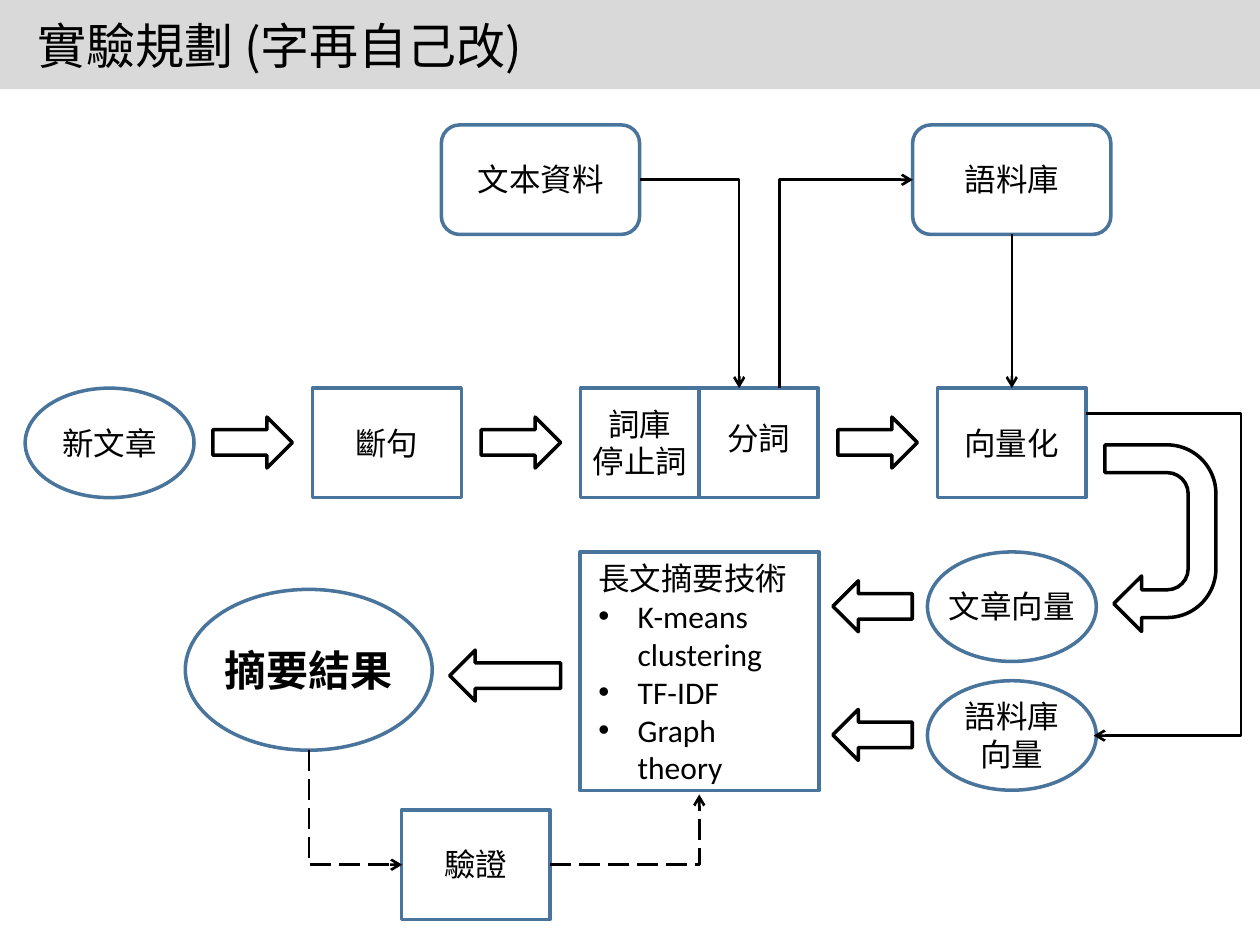
from dataclasses import dataclass

from lxml.etree import SubElement
from pptx import Presentation
from pptx.dml.color import RGBColor
from pptx.enum.dml import MSO_LINE
from pptx.enum.shapes import MSO_CONNECTOR, MSO_SHAPE as Preset
from pptx.enum.text import MSO_ANCHOR, MSO_AUTO_SIZE, PP_ALIGN
from pptx.oxml.ns import qn
from pptx.util import Pt


@dataclass(frozen=True)
class Theme:
    black: RGBColor = RGBColor(0, 0, 0)
    band: RGBColor = RGBColor(0xD9, 0xD9, 0xD9)
    outline: RGBColor = RGBColor(0x49, 0x74, 0x9B)
    cjk: str = "Noto Sans CJK SC"
    latin: str = "Calibri"
    title: int = 28
    result: int = 24
    body: int = 18


theme = Theme()
presentation = Presentation()
presentation.slide_width, presentation.slide_height = Pt(720), Pt(540)
slide = presentation.slides.add_slide(presentation.slide_layouts[6])


def add_outline(preset, box, color, rotation=0):
    shape = slide.shapes.add_shape(preset, *map(Pt, box))
    shape.shadow.inherit = False
    shape.fill.background()
    shape.line.color.rgb = color
    shape.line.width = Pt(2)
    shape.rotation = rotation
    return shape


def add_text(text, box, size=theme.body, font=theme.cjk, align=PP_ALIGN.CENTER, bold=False):
    text_box = slide.shapes.add_textbox(*map(Pt, box))
    frame = text_box.text_frame
    frame.word_wrap = True
    frame.text = text
    for paragraph in frame.paragraphs:
        paragraph.alignment = align
        for run in paragraph.runs:
            run.font.size = Pt(size)
            run.font.bold = bold
            run.font.color.rgb = theme.black
            run.font.name = font
            if font == theme.cjk:
                SubElement(run.font._element, qn("a:ea"), typeface=font)
    return text_box


# Title band
band = add_outline(Preset.RECTANGLE, (0, 0, 720, 51), theme.band)
band.fill.solid()
band.fill.fore_color.rgb = theme.band
band.line.fill.background()
title = add_text("實驗規劃 (字再自己改)", (14.4, 9.4, 648, 33), theme.title, align=PP_ALIGN.LEFT)
title.text_frame.vertical_anchor = MSO_ANCHOR.MIDDLE

# Steps: name, text, preset, box, label width and height (labels sit centred on their shape)
row, high = 221.8, 62.6
steps = [
    ("article", "新文章", Preset.OVAL, (14.4, row, 96.5, high), (73.4, 29.1)),
    ("sentences", "斷句", Preset.RECTANGLE, (178.6, row, 85, high), (54, 29.1)),
    ("words", "分詞", Preset.RECTANGLE, (399.6, row, 68, high), (51.1, 34.6)),
    ("stopwords", "詞庫\n停止詞", Preset.RECTANGLE, (331.6, row, 68, high), (77.8, 50.9)),
    ("texts", "文本資料", Preset.ROUNDED_RECTANGLE, (252.2, 71.4, 113.3, high), (92.2, 29.1)),
    ("corpus", "語料庫", Preset.ROUNDED_RECTANGLE, (521.5, 71.4, 113.3, high), (92.2, 29.1)),
    ("vectorise", "向量化", Preset.RECTANGLE, (535.6, row, 85, high), (69.1, 29.1)),
    ("article vector", "文章向量", Preset.OVAL, (530, 315.4, 96.5, high), (93.6, 29.1)),
    ("corpus vector", "語料庫\n向量", Preset.OVAL, (530, 389, 96.5, high), (93.6, 50.9)),
    ("result", "摘要結果", Preset.OVAL, (105.9, 336.8, 141.1, 91.9), (122.4, 36.4)),
    ("check", "驗證", Preset.RECTANGLE, (229.4, 462.8, 85, high), (54, 29.1)),
]
shapes, labels = {}, {}
for name, text, preset, box, (label_width, label_height) in steps:
    left, top, width, height = box
    label_box = (left + (width - label_width) / 2, top + (height - label_height) / 2,
                 label_width, label_height)
    is_result = name == "result"
    labels[name] = add_text(text, label_box, theme.result if is_result else theme.body,
                            bold=is_result)
    shapes[name] = add_outline(preset, box, theme.outline)

# Summarising techniques
add_outline(Preset.RECTANGLE, (331.6, 315.4, 136.4, 136.4), theme.outline)
techniques = add_text("長文摘要技術\nK-means clustering\nTF-IDF\nGraph theory",
                      (334.8, 316.1, 130.3, 138.2), font=theme.latin, align=PP_ALIGN.LEFT)
techniques.text_frame.auto_size = MSO_AUTO_SIZE.SHAPE_TO_FIT_TEXT
for paragraph in techniques.text_frame.paragraphs[1:]:
    properties = paragraph._p.get_or_add_pPr()
    properties.set("marL", str(Pt(22.5)))
    properties.set("indent", str(-Pt(22.5)))
    SubElement(properties, qn("a:buFont"), typeface="Arial")
    SubElement(properties, qn("a:buChar"), char="•")

# Block arrows: left, top, width, rotation
for left, top, width, rotation in [
    (121.7, 238.3, 45.4, 0), (275, 238.3, 45.4, 0), (478.8, 238.3, 45.4, 0),
    (475.9, 331.9, 45.4, 180), (475.9, 405.4, 45.4, 180), (257, 371.5, 63.4, 180),
]:
    add_outline(Preset.RIGHT_ARROW, (left, top, width, 29.1), theme.black, rotation)
u_turn = add_outline(Preset.U_TURN_ARROW, (609.8, 275.8, 106.6, 63.4), theme.black, 90)
for index, value in enumerate((0.25, 0.25, 0.25, 0.44, 0.92)):
    u_turn.adjustments[index] = value

# Connectors: preset, unrotated box, rotation, flips, start, end, dashed
straight, elbow, detour = "straightConnector1", "bentConnector2", "bentConnector3"
connections = [
    (elbow, (365.5, 102.7, 56.9, 119.1), 0, "", (shapes["texts"], 3), None, False),
    (elbow, (424.1, 124, 118.8, 76.3), 90, "HV", None, (shapes["corpus"], 1), False),
    (straight, (578.2, 134, 0, 87.8), 0, "", (shapes["corpus"], 2),
     (shapes["vectorise"], 0), False),
    (detour, (620.6, 236.2, 4.4, 184.1), 0, "", None, (labels["corpus vector"], 3), False),
    (elbow, (170.5, 434.8, 65.4, 53.2), 270, "H", (shapes["result"], 4),
     (shapes["check"], 1), True),
    (elbow, (314.4, 454, 85.2, 40.1), 0, "V", (shapes["check"], 3), (techniques, 2), True),
]
for preset, box, rotation, flips, start, end, dashed in connections:
    kind = MSO_CONNECTOR.STRAIGHT if preset == straight else MSO_CONNECTOR.ELBOW
    connector = slide.shapes.add_connector(kind, 0, 0, 0, 0)
    if start:
        # Ovals have eight sites, but begin_connect places only four
        start_shape, site = start
        connector.begin_connect(start_shape, site % 4)
        for joint in connector._element.iter(qn("a:stCxn")):
            joint.set("idx", str(site))
    if end:
        connector.end_connect(*end)
    connector.left, connector.top, connector.width, connector.height = map(Pt, box)
    connector.line.color.rgb = theme.black
    connector.line.width = Pt(1.5)
    if dashed:
        connector.line.dash_style = MSO_LINE.LONG_DASH
    properties = connector._element.spPr
    transform = properties.find(qn("a:xfrm"))
    transform.set("rot", str(rotation * 60000))
    for axis in "HV":
        transform.set(f"flip{axis}", str(int(axis in flips)))
    geometry = properties.find(qn("a:prstGeom"))
    geometry.set("prst", preset)
    if preset == detour:
        guides = geometry.find(qn("a:avLst"))
        SubElement(guides, qn("a:gd"), name="adj1", fmla="val 2015000")
    SubElement(properties.find(qn("a:ln")), qn("a:tailEnd"), type="arrow")
    SubElement(properties, qn("a:effectLst"))

presentation.save("out.pptx")
